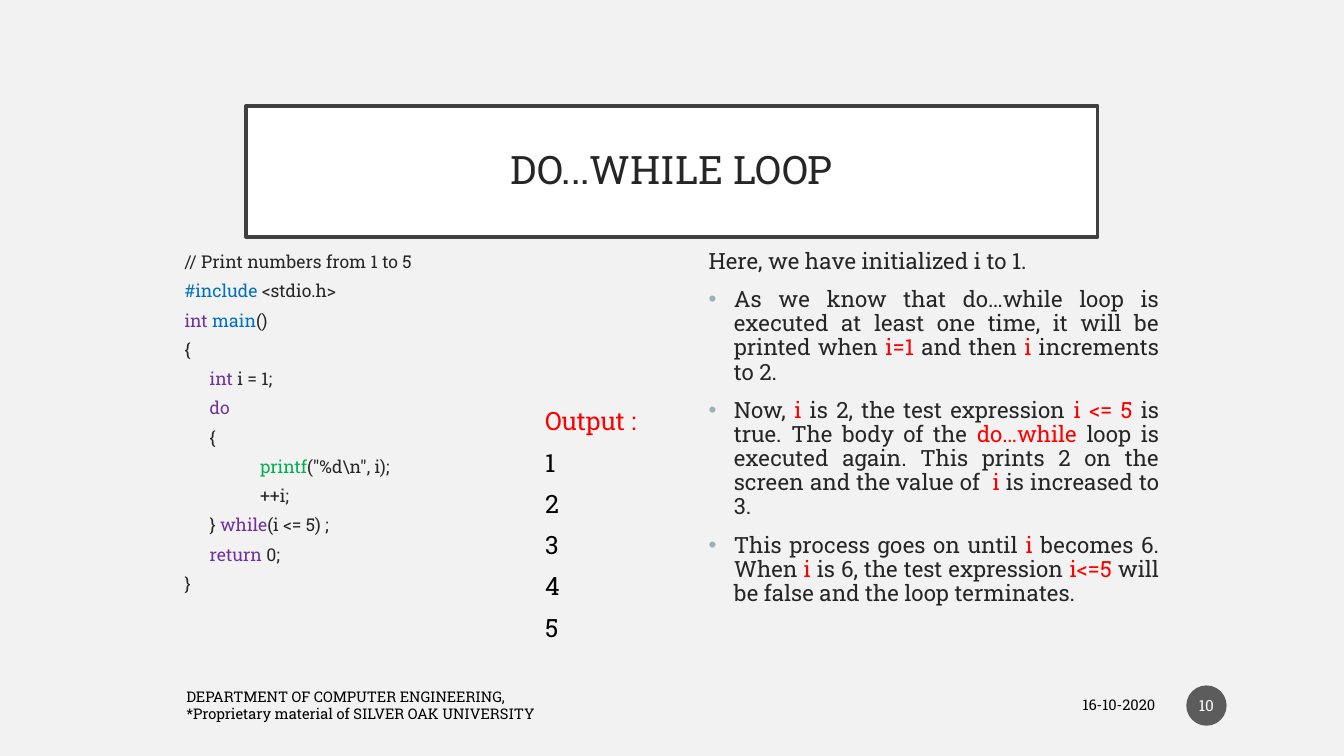
from lxml import etree
from pptx import Presentation
from pptx.dml.color import RGBColor
from pptx.enum.shapes import MSO_SHAPE
from pptx.enum.text import MSO_ANCHOR, MSO_AUTO_SIZE, PP_ALIGN
from pptx.oxml.ns import qn
from pptx.util import Pt

LEFT, CENTER, RIGHT, JUSTIFY = (
    PP_ALIGN.LEFT, PP_ALIGN.CENTER, PP_ALIGN.RIGHT, PP_ALIGN.JUSTIFY)
TOP, MIDDLE = MSO_ANCHOR.TOP, MSO_ANCHOR.MIDDLE
NO_FIT = MSO_AUTO_SIZE.NONE
OVAL = MSO_SHAPE.OVAL

FONT = "Roboto Slab"
INK = RGBColor(0x26, 0x26, 0x26)
BLACK = RGBColor(0x00, 0x00, 0x00)
WHITE = RGBColor(0xFF, 0xFF, 0xFF)
PAPER = RGBColor(0xF2, 0xF2, 0xF2)
FRAME = RGBColor(0x40, 0x40, 0x40)
BADGE = RGBColor(0x1D, 0x1D, 0x1D)
BULLET = RGBColor(0x9B, 0xAF, 0xB5)
RED = RGBColor(0xFF, 0x00, 0x00)
BLUE = RGBColor(0x00, 0x70, 0xC0)
PURPLE = RGBColor(0x70, 0x30, 0xA0)
GREEN = RGBColor(0x00, 0xB0, 0x50)

HANG = 18
CODE_TAB = 90

# A paragraph is a list of runs; a run is a string or a (string, colour) pair
CODE = [
    ["// Print numbers from 1 to 5"],
    [("#include", BLUE), " <stdio.h>"],
    [("int ", PURPLE), ("main", BLUE), "()"],
    ["{"],
    ["\t", ("int", PURPLE), " i = 1;"],
    ["\t", ("do", PURPLE)],
    ["\t{"],
    ["\t\t", ("printf", GREEN), '("%d\\n", i);'],
    ["\t\t++i;"],
    ["\t} ", ("while", PURPLE), "(i <= 5) ;"],
    ["\t", ("return", PURPLE), " 0;"],
    ["}"],
]
NOTES = [
    ["Here, we have initialized i to 1."],
    ["As we know that do…while loop is executed at least one time, "
     "it will be printed when ", ("i=1", RED), " and then ", ("i", RED),
     " increments to 2."],
    ["Now, ", ("i", RED), " is 2, the test expression ", ("i <= 5", RED),
     " is true. The body of the ", ("do…while ", RED),
     "loop is executed again. This prints 2 on the screen and the value of ",
     (" i", RED), " is increased to 3."],
    ["This process goes on until ", ("i ", RED), "becomes 6. When ",
     ("i", RED), " is 6, the test expression ", ("i<=5", RED),
     " will be false and the loop terminates."],
]
OUTPUT = [[("Output :", RED)]] + [[str(n)] for n in range(1, 6)]
FOOTER = [["DEPARTMENT OF COMPUTER ENGINEERING,"],
          ["*Proprietary material of SILVER OAK UNIVERSITY"]]


class Deck:
    def __init__(self, width, height):
        self.prs = Presentation()
        self.prs.slide_width, self.prs.slide_height = Pt(width), Pt(height)
        self.s = self.prs.slides.add_slide(self.prs.slide_layouts[3])
        fill = self.s.background.fill
        fill.solid()
        fill.fore_color.rgb = PAPER

    def placeholder(self, idx, box, paras, size, **style):
        sp = self.s.placeholders[idx]
        sp.left, sp.top, sp.width, sp.height = map(Pt, box)
        self.set_text(sp, paras, size, **style)
        return sp

    def textbox(self, box, paras, size, **style):
        sp = self.s.shapes.add_textbox(*map(Pt, box))
        self.set_text(sp, paras, size, **style)

    def badge(self, box, label, size, opacity):
        sp = self.s.shapes.add_shape(OVAL, *map(Pt, box))
        sp.shadow.inherit = False
        sp.line.fill.background()
        sp.fill.solid()
        sp.fill.fore_color.rgb = BADGE
        clr = sp._element.spPr.find(".//" + qn("a:srgbClr"))
        etree.SubElement(clr, qn("a:alpha"), val=str(opacity * 1000))
        self.set_text(sp, [[label]], size, color=WHITE, align=CENTER,
                      anchor=MIDDLE, inset=(1.4, 3.6))

    def set_text(self, sp, paras, size, color=INK, align=LEFT, anchor=TOP,
                 inset=(7.2, 3.6), spacing=1.0, before=0, hang=0, tab=0,
                 bullets=False):
        tf = sp.text_frame
        tf.word_wrap, tf.auto_size, tf.vertical_anchor = True, NO_FIT, anchor
        tf.margin_left = tf.margin_right = Pt(inset[0])
        tf.margin_top = tf.margin_bottom = Pt(inset[1])
        for i, runs in enumerate(paras):
            p = tf.paragraphs[0] if i == 0 else tf.add_paragraph()
            p.alignment, p.line_spacing = align, spacing
            p.space_before = Pt(before if i else 0)
            p.space_after = Pt(0)
            self.indent(p, hang, tab, bullets and i > 0)
            for run in runs:
                text, tint = run if isinstance(run, tuple) else (run, color)
                r = p.add_run()
                r.text = text
                r.font.name, r.font.size = FONT, Pt(size)
                r.font.color.rgb = tint

    def indent(self, p, hang, tab, bullet):
        pPr = p._p.get_or_add_pPr()
        pPr.set("marL", str(Pt(hang)))
        pPr.set("indent", str(-Pt(hang)))
        if bullet:
            clr = etree.SubElement(pPr, qn("a:buClr"))
            etree.SubElement(clr, qn("a:srgbClr"), val=str(BULLET))
            etree.SubElement(pPr, qn("a:buFont"), typeface="Arial")
            etree.SubElement(pPr, qn("a:buChar"), char="•")
        else:
            etree.SubElement(pPr, qn("a:buNone"))
        if tab:
            tabs = etree.SubElement(pPr, qn("a:tabLst"))
            for pos in (hang, tab):
                etree.SubElement(tabs, qn("a:tab"), pos=str(Pt(pos)), algn="l")


def main():
    deck = Deck(960, 540)

    # Framed title
    title = deck.placeholder(0, (175.7, 75.6, 608.4, 93.6),
                             [["DO...WHILE LOOP"]], 28, align=CENTER,
                             anchor=MIDDLE, inset=(14.4, 14.4), spacing=0.9)
    title.fill.solid()
    title.fill.fore_color.rgb = WHITE
    title.line.color.rgb = FRAME
    title.line.width = Pt(2.5)

    # Program and explanation
    deck.placeholder(1, (124.6, 178.6, 336.2, 273.6), CODE, 12.6,
                     spacing=0.8, before=8.8, hang=HANG, tab=CODE_TAB)
    deck.placeholder(2, (499, 175, 336.2, 277.2), NOTES, 16, align=JUSTIFY,
                     spacing=0.9, before=10, hang=HANG, bullets=True)

    # Program output
    deck.textbox((382.3, 288.7, 120.2, 201.6), OUTPUT, 18, color=BLACK,
                 spacing=0.9, before=10, hang=HANG)

    # Footer, date and page number
    deck.textbox((126, 491, 464.4, 25.2), FOOTER, 10.5, color=BLACK,
                 anchor=MIDDLE)
    deck.textbox((615.6, 491, 216.7, 25.2), [["16-10-2020"]], 10.5,
                 color=BLACK, align=RIGHT, anchor=MIDDLE)
    deck.badge((847.4, 489.6, 28.8, 28.8), "10", 11, 70)

    deck.prs.save("out.pptx")


if __name__ == "__main__":
    main()
